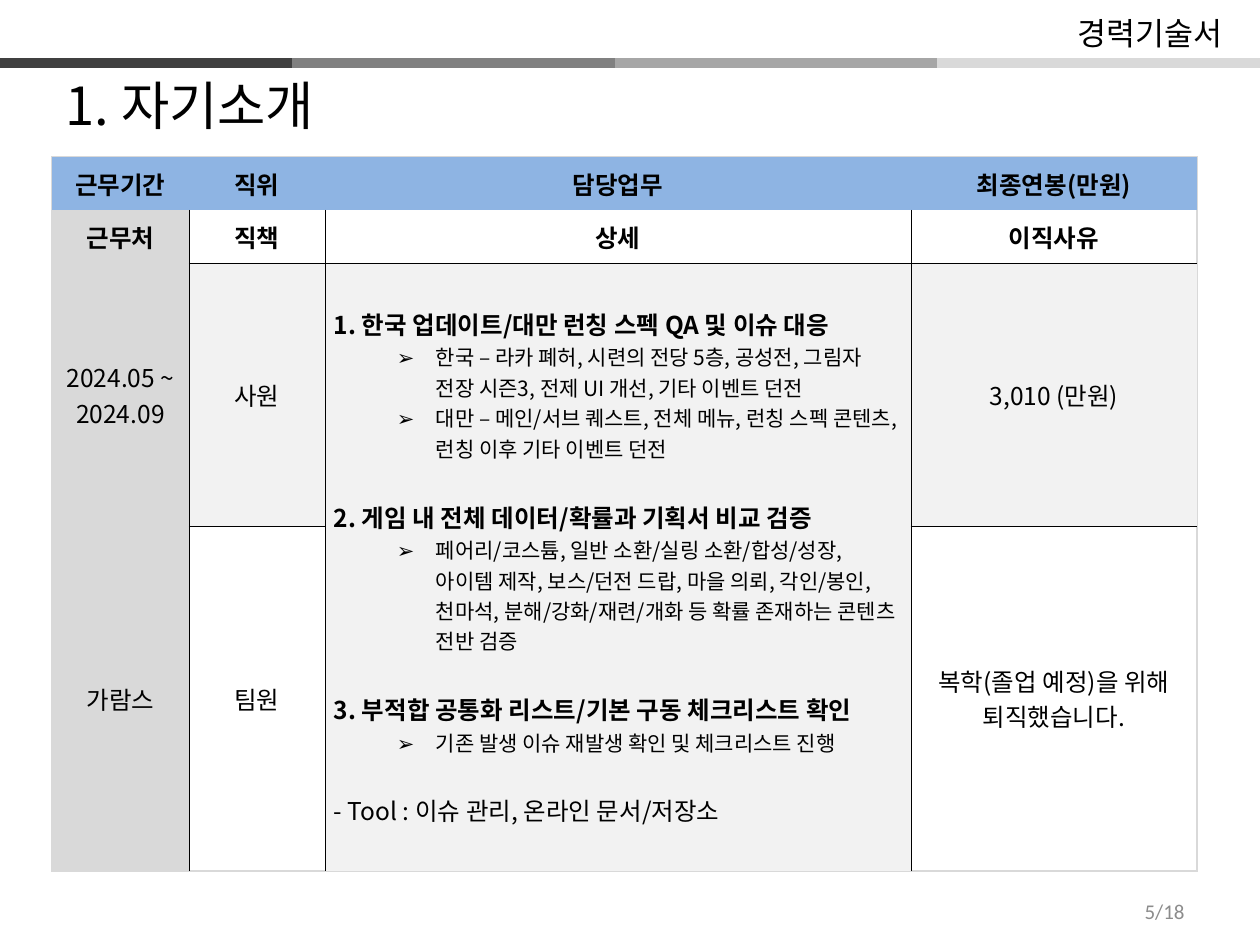
from lxml import etree
from pptx import Presentation
from pptx.dml.color import RGBColor
from pptx.enum.shapes import MSO_CONNECTOR
from pptx.enum.text import MSO_ANCHOR, MSO_AUTO_SIZE, PP_ALIGN
from pptx.oxml.ns import qn
from pptx.util import Emu, Pt

LEFT, CENTER, RIGHT = PP_ALIGN.LEFT, PP_ALIGN.CENTER, PP_ALIGN.RIGHT
STRAIGHT, MIDDLE, TOP = MSO_CONNECTOR.STRAIGHT, MSO_ANCHOR.MIDDLE, MSO_ANCHOR.TOP
NO_FIT = MSO_AUTO_SIZE.NONE
PLAIN_STYLE = "{2D5ABB26-0587-4C30-8999-92F81FD0307C}"
KOREAN, LATIN = "Noto Sans CJK KR", "Calibri"
BLACK, BLUE, GREY, PALE = "000000", "8EB4E3", "D9D9D9", "F2F2F2"

BANDS = [(0, 292, "404040"), (292, 615, "808080"),
         (615, 937, "A6A6A6"), (937, 1260, "D9D9D9")]
TABLE_LEFT, TABLE_TOP = 52, 157
COL_WIDTHS = [137, 136, 586, 286]
ROW_HEIGHTS = [53, 53, 263, 345]
ROWS = [
    ["근무기간", "직위", "담당업무", "최종연봉(만원)"],
    ["근무처", "직책", "상세", "이직사유"],
    ["2024.05 ~ 2024.09", "사원", None, "3,010 (만원)"],
    ["가람스", "팀원", None, "복학(졸업 예정)을 위해 퇴직했습니다."],
]
DUTIES = [
    ("1. 한국 업데이트/대만 런칭 스펙 QA 및 이슈 대응", [
        "한국 – 라카 폐허, 시련의 전당 5층, 공성전, 그림자 전장 시즌3, "
        "전제 UI 개선, 기타 이벤트 던전",
        "대만 – 메인/서브 퀘스트, 전체 메뉴, 런칭 스펙 콘텐츠, "
        "런칭 이후 기타 이벤트 던전"]),
    ("2. 게임 내 전체 데이터/확률과 기획서 비교 검증", [
        "페어리/코스튬, 일반 소환/실링 소환/합성/성장, 아이템 제작, "
        "보스/던전 드랍, 마을 의뢰, 각인/봉인, 천마석, "
        "분해/강화/재련/개화 등 확률 존재하는 콘텐츠 전반 검증"]),
    ("3. 부적합 공통화 리스트/기본 구동 체크리스트 확인", [
        "기존 발생 이슈 재발생 확인 및 체크리스트 진행"]),
]
TOOLS = "- Tool : 이슈 관리, 온라인 문서/저장소"
DUTY_ROW, DUTY_COL = 2, 2


def px(n):
    return Emu(round(n * 914400 / 126))


def rgb(value):
    return RGBColor.from_string(value)


def add_run(p, text, size, bold=False, color=BLACK, font=KOREAN):
    r = p.add_run()
    r.text = text
    r.font.size, r.font.bold = Pt(size), bold
    r.font.color.rgb = rgb(color)
    r.font.name = font
    etree.SubElement(r.font._element, qn("a:ea"), typeface=font)


def set_text(s, box, text, size, align, anchor=MIDDLE, wrap=True, **style):
    s.left, s.top, s.width, s.height = map(px, box)
    tf = s.text_frame
    tf.word_wrap, tf.auto_size, tf.vertical_anchor = wrap, NO_FIT, anchor
    p = tf.paragraphs[0]
    p.alignment = align
    add_run(p, text, size, **style)


def add_border(cell, side, color, width):
    tcPr = cell._tc.get_or_add_tcPr()
    ln = etree.SubElement(tcPr, qn("a:ln" + side), w=str(Pt(width)))
    fill = etree.SubElement(ln, qn("a:solidFill"))
    etree.SubElement(fill, qn("a:srgbClr"), val=color)


def add_plain_table(slide, widths, heights):
    frame = slide.shapes.add_table(len(heights), len(widths), px(TABLE_LEFT),
                                   px(TABLE_TOP), px(sum(widths)), px(sum(heights)))
    table = frame.table
    table.first_row = table.horz_banding = False
    table._tbl.tblPr.find(qn("a:tableStyleId")).text = PLAIN_STYLE
    for col, width in zip(table.columns, widths):
        col.width = px(width)
    for row, height in zip(table.rows, heights):
        row.height = px(height)
    return table


def cell_sides(r, c):
    """Sides of a cell that carry a grid line; the merged duties cell has no middle line."""
    inner = c > 0
    duty = c == DUTY_COL
    rules = {
        "L": r > 0 and inner,
        "R": r > 0 and c < len(COL_WIDTHS) - 1,
        "T": inner and (r == 2 or r == 3 and not duty),
        "B": inner and (r == 1 or r == 2 and not duty),
    }
    return [side for side, shown in rules.items() if shown]


def cell_fill(r, c):
    if r == 0:
        return BLUE
    if c == 0:
        return GREY
    return PALE if r == 2 or (r == 3 and c == DUTY_COL) else None


def fill_duties(tf):
    p = tf.paragraphs[0]
    for i, (heading, details) in enumerate(DUTIES):
        if i:
            p = tf.add_paragraph()
            p.space_before = Pt(20)
        add_run(p, heading, 14, bold=True)
        for detail in details:
            p = tf.add_paragraph()
            p.level = 1
            pPr = p._p.get_or_add_pPr()
            pPr.set("marL", str(px(102)))
            pPr.set("indent", str(px(-39)))
            etree.SubElement(pPr, qn("a:buFont"), typeface=KOREAN)
            etree.SubElement(pPr, qn("a:buChar"), char="➢")
            add_run(p, detail, 12)
    p = tf.add_paragraph()
    p.space_before = Pt(20)
    add_run(p, TOOLS, 14)


def add_career_table(slide):
    table = add_plain_table(slide, COL_WIDTHS, ROW_HEIGHTS)
    for r, row in enumerate(ROWS):
        for c, text in enumerate(row):
            cell = table.cell(r, c)
            cell.vertical_anchor = MIDDLE
            cell.margin_left = cell.margin_right = px(9)
            cell.margin_top = cell.margin_bottom = px(2)
            for side in cell_sides(r, c):
                add_border(cell, side, BLACK, 0.28)
            color = cell_fill(r, c)
            if color:
                cell.fill.solid()
                cell.fill.fore_color.rgb = rgb(color)
            else:
                cell.fill.background()
            if text:
                p = cell.text_frame.paragraphs[0]
                p.alignment = CENTER
                add_run(p, text, 14, bold=r < 2)
    duties = table.cell(DUTY_ROW, DUTY_COL)
    duties.merge(table.cell(DUTY_ROW + 1, DUTY_COL))
    fill_duties(duties.text_frame)


def main():
    prs = Presentation()
    prs.slide_width, prs.slide_height = px(1260), px(945)
    slide = prs.slides.add_slide(prs.slide_layouts[5])

    for start, end, color in BANDS:
        line = slide.shapes.add_connector(STRAIGHT, px(start), px(63), px(end), px(63))
        line.line.color.rgb = rgb(color)
        line.line.width = Pt(6)
        etree.SubElement(line._element.spPr, qn("a:effectLst"))

    frame = add_plain_table(slide, [sum(COL_WIDTHS)], [sum(ROW_HEIGHTS)]).cell(0, 0)
    for side in "LRTB":
        add_border(frame, side, GREY, 1)
    frame.fill.background()

    set_text(slide.shapes.title, (53, 73, 1134, 63), "1. 자기소개", 30, LEFT)
    page = slide.shapes.add_textbox(0, 0, 0, 0)
    set_text(page, (903, 892, 294, 38), "5/18", 12, RIGHT, color="8C8C8C", font=LATIN)
    header = slide.shapes.add_textbox(0, 0, 0, 0)
    set_text(header, (1055, 8, 180, 50), "경력기술서", 18, RIGHT, anchor=TOP, wrap=False)

    add_career_table(slide)
    prs.save("out.pptx")


if __name__ == "__main__":
    main()
